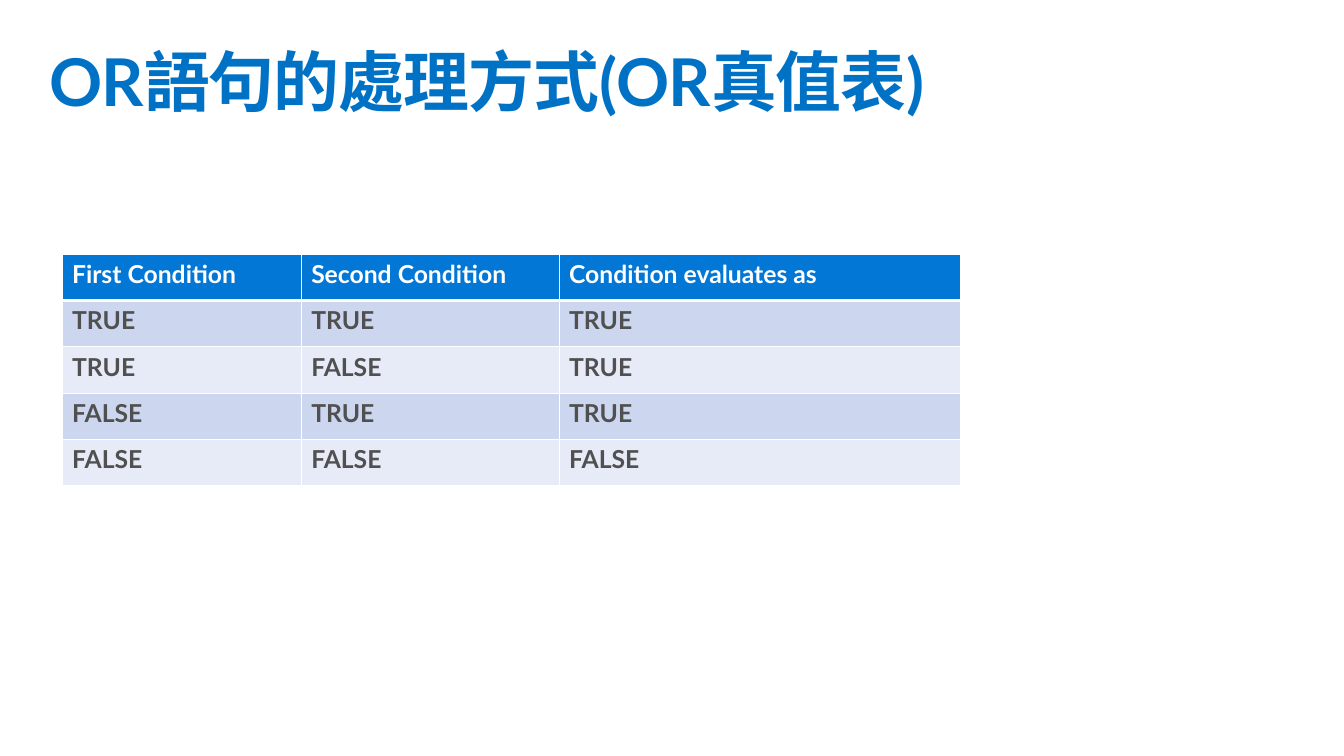
from lxml.etree import SubElement
from pptx import Presentation
from pptx.dml.color import RGBColor
from pptx.enum.text import MSO_ANCHOR, PP_ALIGN
from pptx.oxml.ns import qn
from pptx.util import Inches, Pt

COLORS = {
    "title": "0072C6",
    "header": "0377D6",
    "header_text": "FFFFFF",
    "odd_row": "CCD6EF",
    "even_row": "E7EBF7",
    "body_text": "505050",
    "border": "FFFFFF",
}
FONT = "Lato"
COLUMN_WIDTHS = [2.42, 2.61, 4.06]
ROW_HEIGHT = 0.47
HEADINGS = ["First Condition", "Second Condition", "Condition evaluates as "]
CONDITIONS = [(a, b, a or b) for a in (True, False) for b in (True, False)]


def format_run(run, size, color):
    run.font.name = FONT
    run.font.size = Pt(size)
    run.font.bold = True
    run.font.color.rgb = RGBColor.from_string(COLORS[color])


def add_border(cell, side, width):
    line = SubElement(cell._tc.get_or_add_tcPr(), qn(f"a:ln{side}"), w=str(Pt(width)))
    fill = SubElement(line, qn("a:solidFill"))
    SubElement(fill, qn("a:srgbClr"), val=COLORS["border"])


deck = Presentation()
deck.slide_width, deck.slide_height = Inches(13.6), Inches(7.65)
slide = deck.slides.add_slide(deck.slide_layouts[5])

title = slide.shapes.title
title.left, title.top = Inches(0.4), Inches(0.4)
title.width, title.height = Inches(12.8), Inches(1)
heading = title.text_frame
heading.text = "OR語句的處理方式(OR真值表)"
heading.word_wrap = True
heading.vertical_anchor = MSO_ANCHOR.TOP
heading.margin_left = heading.margin_right = Inches(0.1)
heading.margin_top = heading.margin_bottom = Inches(0.1)
heading.paragraphs[0].alignment = PP_ALIGN.LEFT
heading.paragraphs[0].line_spacing = 0.9
heading_run = heading.paragraphs[0].runs[0]
format_run(heading_run, 48, "title")
heading_run.font._element.set("spc", "-70")

rows = [HEADINGS] + [[str(value).upper() for value in row] for row in CONDITIONS]
truth_table = slide.shapes.add_table(
    len(rows), len(HEADINGS), Inches(0.63), Inches(2.57),
    Inches(sum(COLUMN_WIDTHS)), Inches(ROW_HEIGHT * len(rows)),
).table
for column, width in zip(truth_table.columns, COLUMN_WIDTHS):
    column.width = Inches(width)

for r, row in enumerate(rows):
    truth_table.rows[r].height = Inches(ROW_HEIGHT)
    background = "header" if r == 0 else ("odd_row" if r % 2 else "even_row")
    for c, text in enumerate(row):
        cell = truth_table.cell(r, c)
        for side in "LRTB":
            under_header = (r, side) in [(0, "B"), (1, "T")]
            add_border(cell, side, 3 if under_header else 0.96)
        cell.fill.solid()
        cell.fill.fore_color.rgb = RGBColor.from_string(COLORS[background])
        cell.text_frame.text = text
        format_run(cell.text_frame.paragraphs[0].runs[0], 18,
                   "body_text" if r else "header_text")

deck.save("out.pptx")
